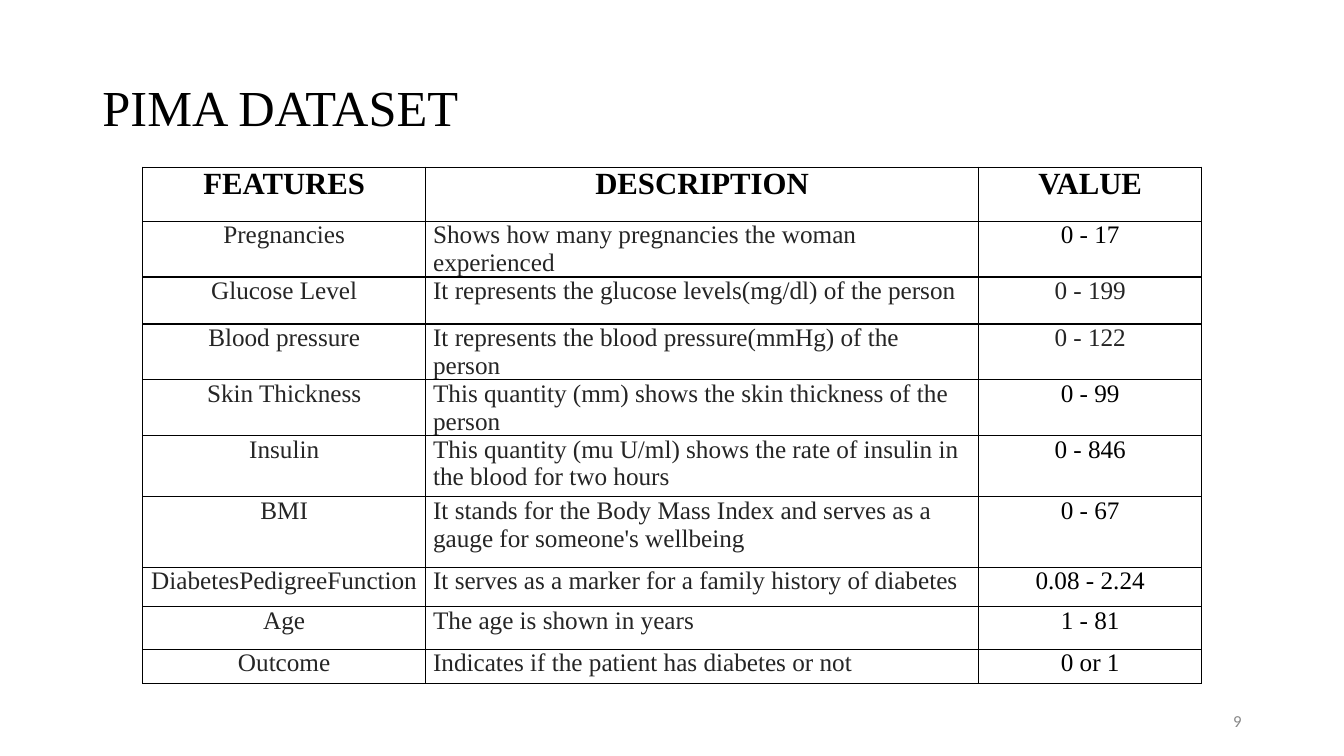
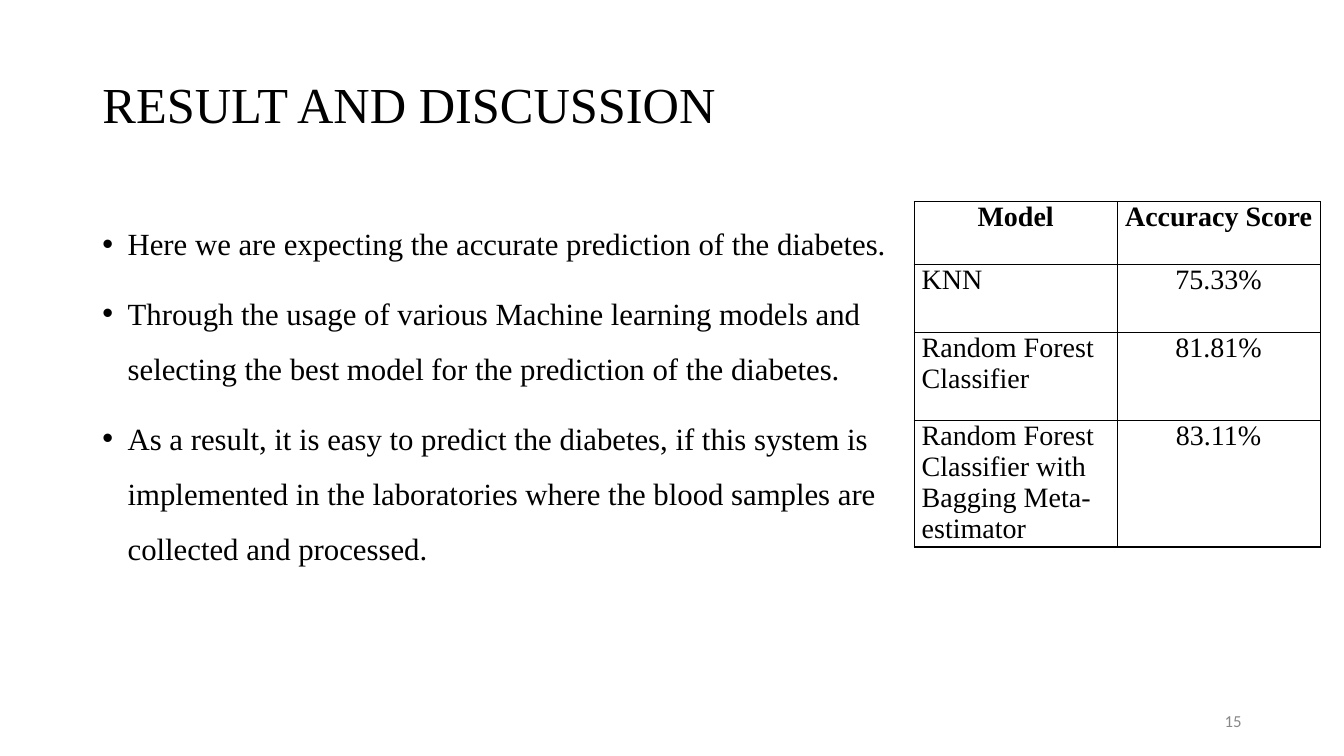
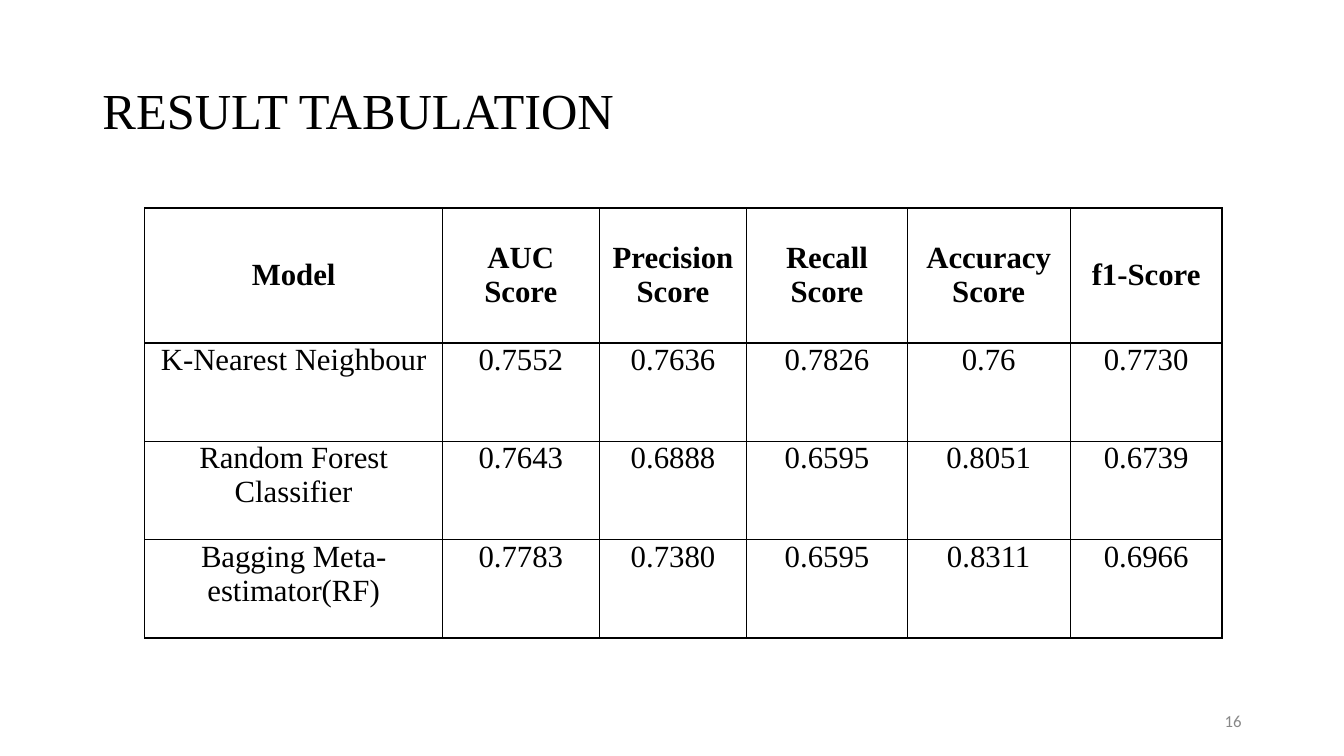
import pptx
import pptx.util
import pptx.dml.color
import pptx.enum.text
import pptx.oxml
import pptx.oxml.ns
from lxml import etree

Pt = pptx.util.Pt
RGBColor = pptx.dml.color.RGBColor
ALIGN = pptx.enum.text.PP_ALIGN
ANCHOR = pptx.enum.text.MSO_ANCHOR
qn = pptx.oxml.ns.qn

BLACK = RGBColor(0x00, 0x00, 0x00)
CHARCOAL = RGBColor(0x25, 0x25, 0x25)
GREY = RGBColor(0x88, 0x88, 0x88)
WHITE = RGBColor(0xFF, 0xFF, 0xFF)
SERIF = "Times New Roman"
SANS = "Calibri"
TITLE_AND_BODY, TITLE_ONLY = 1, 5

FEATURES = [
    ("FEATURES", "DESCRIPTION", "VALUE"),
    ("Pregnancies", "Shows how many pregnancies the woman experienced", "0 - 17"),
    ("Glucose Level", "It represents the glucose levels(mg/dl) of the person", "0 - 199"),
    ("Blood pressure", "It represents the blood pressure(mmHg) of the person", "0 - 122"),
    ("Skin Thickness", "This quantity (mm) shows the skin thickness of the person", "0 - 99"),
    ("Insulin", "This quantity (mu U/ml) shows the rate of insulin in the blood for two hours", "0 - 846"),
    ("BMI", "It stands for the Body Mass Index and serves as a gauge for someone's wellbeing", "0 - 67"),
    ("DiabetesPedigreeFunction", "It serves as a marker for a family history of diabetes", "0.08 - 2.24"),
    ("Age", "The age is shown in years", "1 - 81"),
    ("Outcome", "Indicates if the patient has diabetes or not", "0 or 1"),
]
FINDINGS = [
    "Here we are expecting the accurate prediction of the diabetes.",
    "Through the usage of various Machine learning models and selecting the best model for the prediction of the diabetes.",
    "As a result, it is easy to predict the diabetes, if this system is implemented in the laboratories where the blood samples are collected and processed.",
]
ACCURACY = [
    ("Model", "Accuracy Score"),
    ("KNN", "75.33%"),
    ("Random Forest Classifier", "81.81%"),
    ("Random Forest Classifier with Bagging Meta-estimator", "83.11%"),
]
SCORES = [
    ("Model", "AUC Score", "Precision Score", "Recall Score", "Accuracy Score", "f1-Score"),
    ("K-Nearest Neighbour", "0.7552", "0.7636", "0.7826", "0.76", "0.7730"),
    ("Random Forest Classifier", "0.7643", "0.6888", "0.6595", "0.8051", "0.6739"),
    ("Bagging Meta-estimator(RF)", "0.7783", "0.7380", "0.6595", "0.8311", "0.6966"),
]


class Deck:
    def __init__(self):
        self.deck = pptx.Presentation()
        self.deck.slide_width, self.deck.slide_height = Pt(960), Pt(540)
        self.slide = None

    def add_text(self, paragraph, text, size, colour=BLACK, font=SERIF, bold=False, align=ALIGN.LEFT):
        paragraph.alignment = align
        run = paragraph.add_run()
        run.text = text
        run.font.name, run.font.size, run.font.bold = font, Pt(size), bold
        run.font.color.rgb = colour

    def frame(self, shape, left, top, width, height, anchor):
        shape.left, shape.top = Pt(left), Pt(top)
        shape.width, shape.height = Pt(width), Pt(height)
        text_frame = shape.text_frame
        text_frame.word_wrap = True
        text_frame.auto_size = pptx.enum.text.MSO_AUTO_SIZE.NONE
        text_frame.vertical_anchor = anchor
        return text_frame

    def start(self, layout, title, title_top, number):
        self.slide = self.deck.slides.add_slide(self.deck.slide_layouts[layout])
        heading = self.frame(self.slide.shapes.title, 66, title_top, 828, 104.5, ANCHOR.MIDDLE).paragraphs[0]
        heading.line_spacing = 0.9
        self.add_text(heading, title, 36)
        footer = self.slide.shapes.add_textbox(0, 0, 0, 0)
        page = self.frame(footer, 678, 500.5, 216, 28.75, ANCHOR.MIDDLE).paragraphs[0]
        self.add_text(page, str(number), 12, GREY, SANS, align=ALIGN.RIGHT)

    def bullets(self, items, left, top, width, height):
        body = self.frame(self.slide.placeholders[1], left, top, width, height, ANCHOR.TOP)
        for index, item in enumerate(items):
            paragraph = body.add_paragraph() if index else body.paragraphs[0]
            paragraph.line_spacing = 1.5
            paragraph.space_before = Pt(10 if index else 0)
            self.add_text(paragraph, item, 22)
            properties = paragraph._p.get_or_add_pPr()
            properties.set("marL", str(Pt(18)))
            properties.set("indent", str(-Pt(18)))
            etree.SubElement(properties, qn("a:buFont")).set("typeface", "Arial")
            etree.SubElement(properties, qn("a:buChar")).set("char", "•")

    def borders(self, cell):
        properties = cell._tc.get_or_add_tcPr()
        for position, side in enumerate(("lnL", "lnR", "lnT", "lnB")):
            line = etree.Element(qn("a:" + side), w=str(Pt(1)))
            fill = etree.SubElement(line, qn("a:solidFill"))
            etree.SubElement(fill, qn("a:srgbClr")).set("val", str(BLACK))
            properties.insert(position, line)

    def table(self, rows, left, top, widths, heights, head_size, size,
              left_column=None, head_anchor=ANCHOR.TOP, ink=lambda row, column: BLACK):
        grid = self.slide.shapes.add_table(
            len(rows), len(widths), Pt(left), Pt(top), Pt(sum(widths)), Pt(sum(heights))).table
        grid.first_row = grid.horz_banding = False
        for column, width in zip(grid.columns, widths):
            column.width = Pt(width)
        for r, (texts, height) in enumerate(zip(rows, heights)):
            grid.rows[r].height = Pt(height)
            head = r == 0
            for c, text in enumerate(texts):
                cell = grid.cell(r, c)
                cell.margin_left = cell.margin_right = Pt(5.4)
                cell.margin_top = cell.margin_bottom = Pt(0)
                cell.vertical_anchor = head_anchor if head else ANCHOR.TOP
                cell.fill.solid()
                cell.fill.fore_color.rgb = WHITE
                self.borders(cell)
                align = ALIGN.LEFT if c == left_column and not head else ALIGN.CENTER
                self.add_text(cell.text_frame.paragraphs[0], text, head_size if head else size,
                              ink(r, c), bold=head, align=align)


def feature_ink(row, column):
    if row == 0 or (column == 2 and row not in (2, 3)):
        return BLACK
    return CHARCOAL


def main():
    deck = Deck()

    deck.start(TITLE_ONLY, "PIMA DATASET", 26.5, 9)
    deck.table(FEATURES, 102, 119.5, [202, 395, 159.5],
               [38.5, 29.5, 33.5, 36, 31, 43.75, 50.5, 28, 30.5, 24.5],
               22, 18, left_column=1, ink=feature_ink)

    deck.start(TITLE_AND_BODY, "RESULT AND DISCUSSION", 24, 15)
    deck.bullets(FINDINGS, 66, 144, 612, 325.5)
    deck.table(ACCURACY, 653, 144, [145, 145], [45, 48.5, 62.75, 90.5], 20, 20, left_column=0)

    deck.start(TITLE_ONLY, "RESULT TABULATION", 28.5, 16)
    deck.table(SCORES, 103.5, 148.5, [212.5, 112, 105.5, 114.5, 116.5, 108.5],
               [96.5] + [70.25] * 3, 22, 22, head_anchor=ANCHOR.MIDDLE)

    deck.deck.save("out.pptx")


if __name__ == "__main__":
    main()
